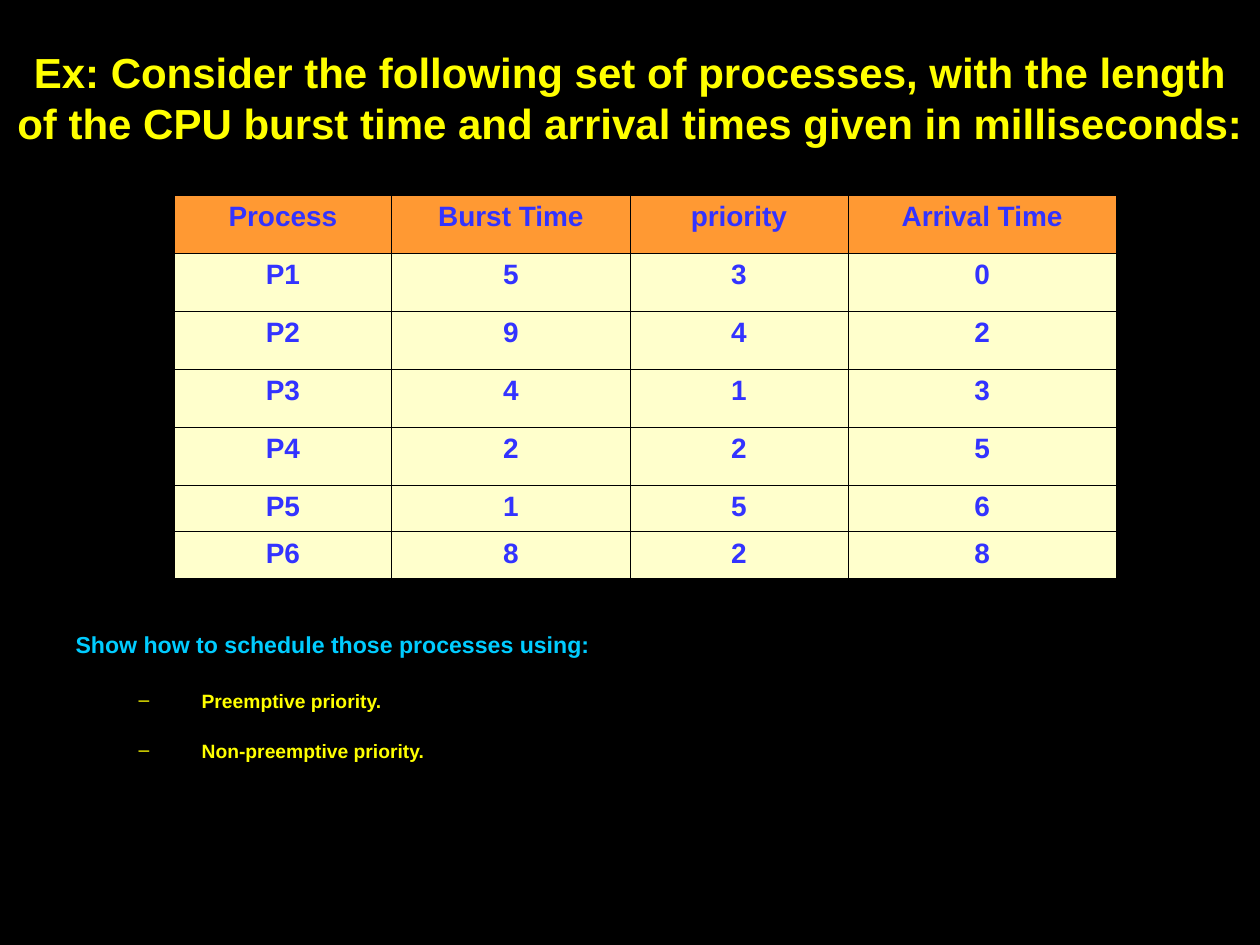
from lxml import etree
from pptx import Presentation, util as u
from pptx.dml.color import RGBColor
from pptx.enum import text
from pptx.oxml.ns import qn

HUES = {"black": "000000", "yellow": "FFFF00", "cyan": "00CCFF",
        "blue": "3333FF", "orange": "FF9933", "cream": "FFFFCC"}


def write(par, words, size, hue, align=text.PP_ALIGN.LEFT, gap=0, line=1.0,
          left=0, hang=0, mark=None):
    """Fill a paragraph; left and hang are inches, mark is a bullet sign."""
    props = par._p.get_or_add_pPr()
    props.set("marL", str(u.Inches(left)))
    props.set("indent", str(u.Inches(-hang)))
    if mark:
        tint = etree.SubElement(props, qn("a:buClr"))
        etree.SubElement(tint, qn("a:srgbClr"), val=HUES[hue])
        etree.SubElement(props, qn("a:buChar"), char=mark)
    else:
        etree.SubElement(props, qn("a:buNone"))
    par.alignment = align
    par.line_spacing = line
    par.space_before = u.Pt(gap)
    run = par.add_run()
    run.text = words
    run.font.name, run.font.size, run.font.bold = "Arial", u.Pt(size), True
    run.font.color.rgb = RGBColor.from_string(HUES[hue])


def place(shape, left, top, width, height):
    shape.left, shape.top = u.Inches(left), u.Inches(top)
    shape.width, shape.height = u.Inches(width), u.Inches(height)
    frame = shape.text_frame
    frame.word_wrap = True
    frame.auto_size = text.MSO_AUTO_SIZE.NONE
    frame.vertical_anchor = text.MSO_ANCHOR.TOP
    return frame


deck = Presentation()
deck.slide_width, deck.slide_height = u.Inches(10), u.Inches(7.5)
slide = deck.slides.add_slide(deck.slide_layouts[1])
back = slide.background.fill
back.solid()
back.fore_color.rgb = RGBColor.from_string(HUES["black"])

# Heading
head = place(slide.shapes.title, 0, 0.28, 10, 1.02)
head.margin_top = u.Inches(0.09)
write(head.paragraphs[0],
      "Ex: Consider the following set of processes, with the length of the "
      "CPU burst time and arrival times given in milliseconds:",
      24, "yellow", align=text.PP_ALIGN.CENTER)

# Process table
rows = [("Process", "Burst Time", "priority", "Arrival Time"),
        ("P1", 5, 3, 0), ("P2", 9, 4, 2), ("P3", 4, 1, 3),
        ("P4", 2, 2, 5), ("P5", 1, 5, 6), ("P6", 8, 2, 8)]
widths = [1.73, 1.89, 1.73, 2.13]
heights = [0.46] * 5 + [0.37] * 2
grid = slide.shapes.add_table(
    len(rows), len(widths), u.Inches(1.38), u.Inches(1.55),
    u.Inches(sum(widths)), u.Inches(sum(heights))).table
for col, width in zip(grid.columns, widths):
    col.width = u.Inches(width)
for r, (row, height) in enumerate(zip(rows, heights)):
    grid.rows[r].height = u.Inches(height)
    for c, value in enumerate(row):
        cell = grid.cell(r, c)
        write(cell.text_frame.paragraphs[0], str(value), 16, "blue",
              align=text.PP_ALIGN.CENTER)
        props = cell._tc.get_or_add_tcPr()
        for side in ("lnL", "lnR", "lnT", "lnB"):
            edge = etree.SubElement(props, qn("a:" + side), w=str(u.Pt(0.45)))
            paint = etree.SubElement(edge, qn("a:solidFill"))
            etree.SubElement(paint, qn("a:srgbClr"), val=HUES["black"])
        cell.fill.solid()
        cell.fill.fore_color.rgb = RGBColor.from_string(
            HUES["cream" if r else "orange"])

# Task list
body = place(slide.placeholders[1], 0.5, 5.01, 9.5, 1.34)
write(body.paragraphs[0], "Show how to schedule those processes using:",
      13.2, "cyan", line=0.7, left=0.58, hang=0.58)
for words, gap in (("Preemptive priority.", 22),
                   ("Non-preemptive priority.", 19.5)):
    item = body.add_paragraph()
    item.level = 1
    write(item, words, 11, "yellow", gap=gap, line=0.7,
          left=1, hang=0.5, mark="–")

deck.save("out.pptx")
